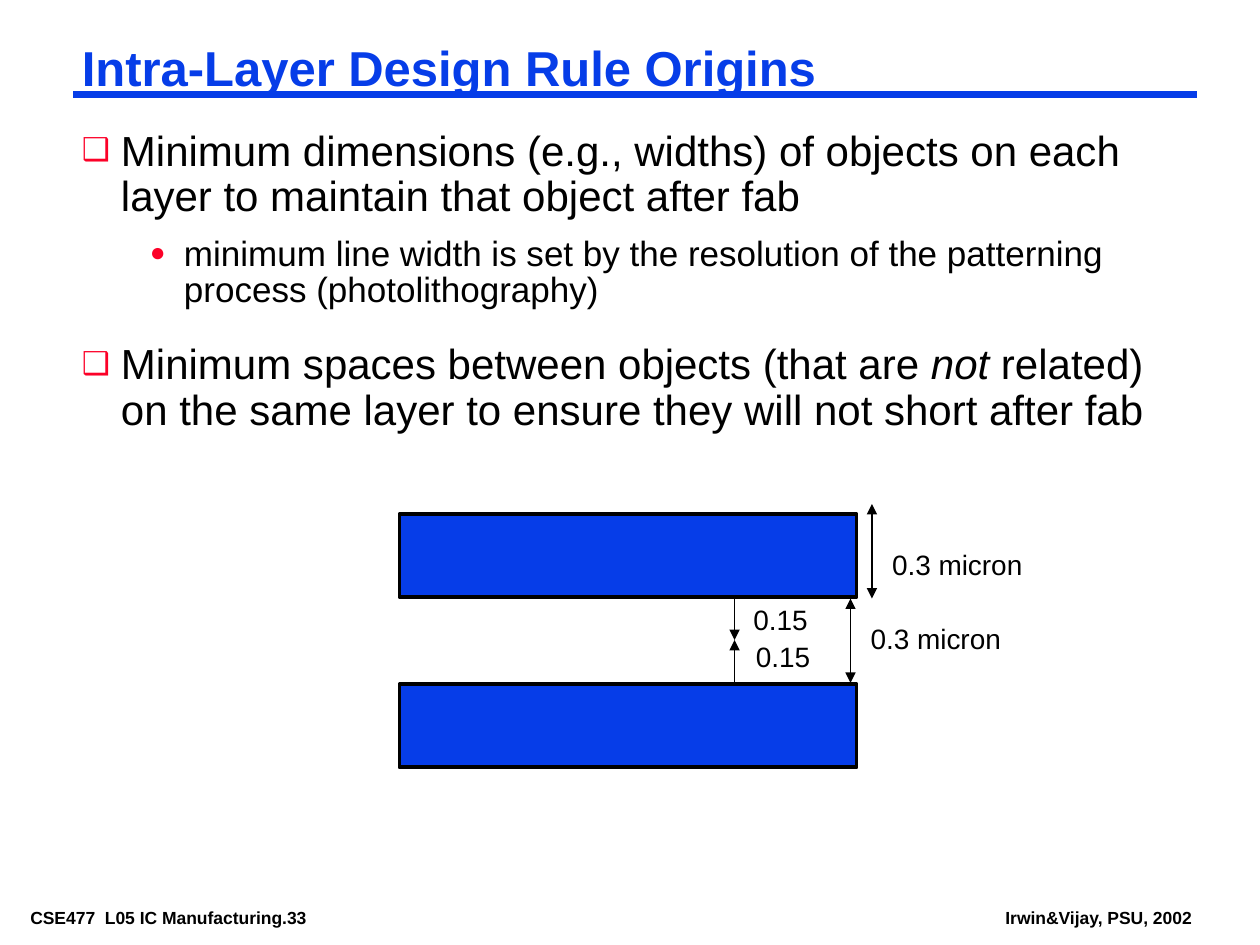
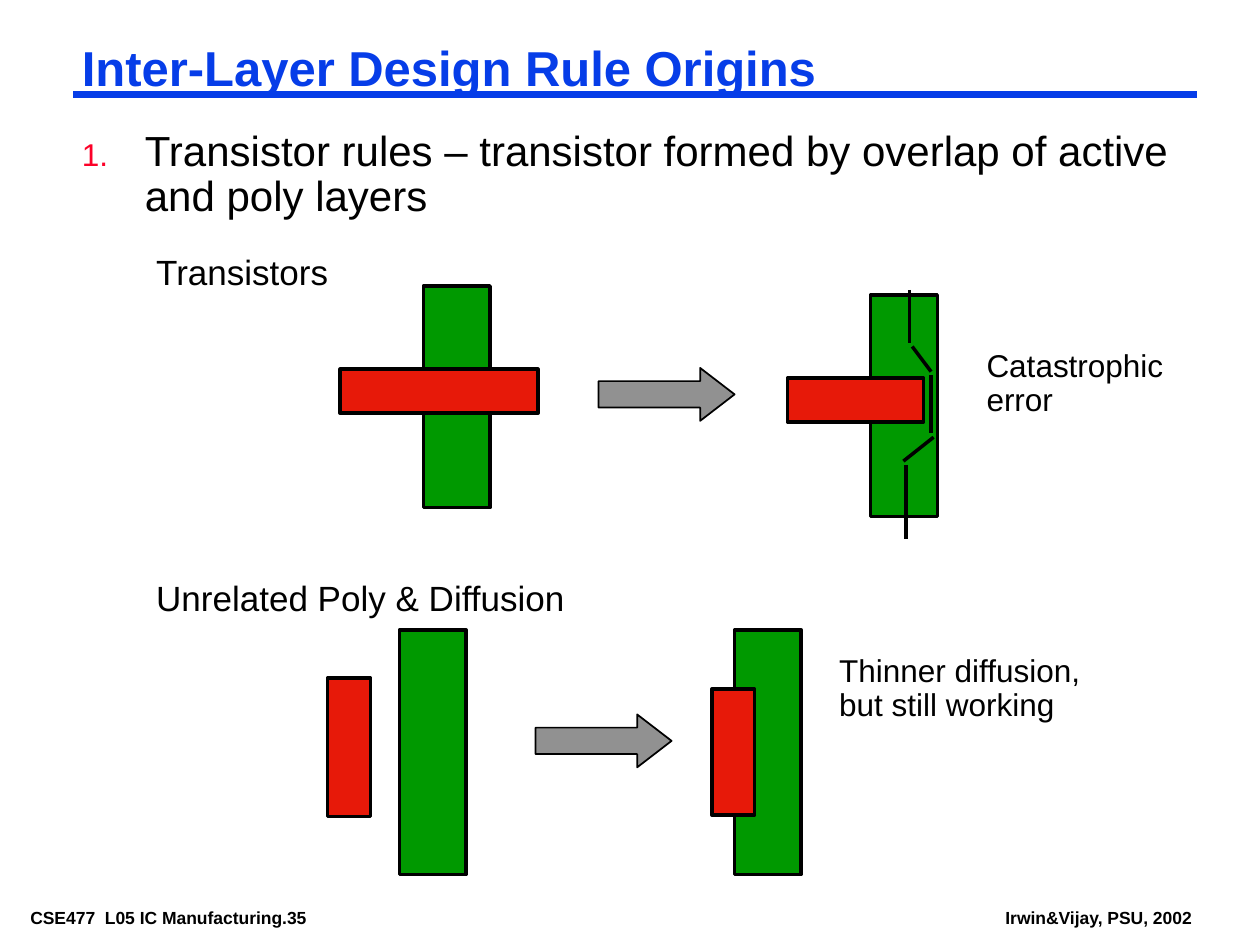
import dataclasses
import pptx
import pptx.dml.color
import pptx.enum.shapes
import pptx.oxml.ns
import pptx.util
from lxml import etree

Inches = pptx.util.Inches
Pt = pptx.util.Pt
Kind = pptx.enum.shapes.MSO_SHAPE


@dataclasses.dataclass(frozen=True)
class Theme:
    font: str = "Arial"
    blue: str = "063DE8"
    black: str = "000000"
    mark: str = "FC0128"
    green: str = "009900"
    red: str = "E71909"
    gray: str = "919191"
    title: int = 28
    body: int = 24
    sub: int = 20
    note: int = 18
    size: int = 16
    foot: int = 10
    rule: float = 4.5
    edge: int = 2
    thin: int = 1


theme = Theme()


def tint(code):
    return pptx.dml.color.RGBColor.from_string(code)


def add_tag(parent, name, **attrs):
    return etree.SubElement(parent, pptx.oxml.ns.qn(name), attrs)


def add_run(para, words, size, color=theme.black, bold=False, slant=False):
    run = para.add_run()
    run.text = words
    font = run.font
    font.name, font.size = theme.font, Pt(size)
    font.bold, font.italic = bold, slant
    font.color.rgb = tint(color)


def add_frame(slide, box, wrap=False, side=0.08):
    frame = slide.shapes.add_textbox(*map(Inches, box)).text_frame
    frame.word_wrap = wrap
    frame.margin_left = frame.margin_right = Inches(side)
    frame.margin_top = frame.margin_bottom = Inches(0.03)
    return frame


def add_label(slide, box, lines, size, wrap=False, space=0.9):
    frame = add_frame(slide, box, wrap)
    for i, words in enumerate(lines):
        para = frame.add_paragraph() if i else frame.paragraphs[0]
        para.line_spacing = space
        add_run(para, words, size)


def add_line(slide, start, end, width, color=theme.black, head=False, tail=False):
    line = slide.shapes.add_connector(
        pptx.enum.shapes.MSO_CONNECTOR.STRAIGHT, *map(Inches, start + end))
    line.line.color.rgb = tint(color)
    line.line.width = Pt(width)
    props = line._element.spPr
    stroke = props.find(pptx.oxml.ns.qn("a:ln"))
    if head:
        add_tag(stroke, "a:headEnd", type="triangle")
    if tail:
        add_tag(stroke, "a:tailEnd", type="triangle")
    add_tag(props, "a:effectLst")


def add_block(slide, box, fill, width=theme.edge, kind=Kind.RECTANGLE):
    block = slide.shapes.add_shape(kind, *map(Inches, box))
    block.shadow.inherit = False
    block.fill.solid()
    block.fill.fore_color.rgb = tint(fill)
    block.line.color.rgb = tint(theme.black)
    block.line.width = Pt(width)
    return block


def add_arrow(slide, left, top):
    arrow = add_block(slide, (left, top, 1.08, 0.42), theme.gray, theme.thin,
                      Kind.RIGHT_ARROW)
    arrow.adjustments[0], arrow.adjustments[1] = 0.5, 0.65


def start_slide(deck, title, page):
    slide = deck.slides.add_slide(deck.slide_layouts[6])
    feet = (((0.17, 7.17, 2.85, 0.22), f"CSE477  L05 IC Manufacturing.{page}"),
            ((7.91, 7.17, 1.63, 0.22), "Irwin&Vijay, PSU, 2002"))
    for box, words in feet:
        frame = add_frame(slide, box, side=0.07)
        add_run(frame.paragraphs[0], words, theme.foot, bold=True)
    add_line(slide, (0.58, 0.75), (9.5, 0.75), theme.rule, theme.blue)
    para = add_frame(slide, (0.58, 0.33, 8.92, 0.46), True, 0.07).paragraphs[0]
    para.line_spacing = 0.87
    add_run(para, title, theme.title, theme.blue, bold=True)
    return slide


def add_point(para, runs, sign, level=0, indent=0.31, hang=0.31):
    para.level = level
    para.line_spacing = 0.85 if level else 0.9
    para.space_before = Pt(10 if level else 19.5)
    props = para._p.get_or_add_pPr()
    props.set("marL", str(Inches(indent)))
    props.set("indent", str(-Inches(hang)))
    add_tag(add_tag(props, "a:buClr"), "a:srgbClr", val=theme.mark)
    add_tag(props, "a:buSzPct", val="75000")
    add_tag(props, "a:buFont", typeface=theme.font)
    if sign == "1.":
        add_tag(props, "a:buAutoNum", type="arabicPeriod")
    else:
        add_tag(props, "a:buChar", char=sign)
    for words, slant in runs:
        add_run(para, words, theme.sub if level else theme.body, slant=slant)


def draw_gap(slide, left, top):
    for drop in (0.08, 1.43):
        add_block(slide, (left, top + drop, 3.63, 0.66), theme.blue)
    labels = ((2.75, 1.08, 0.7, 0.3, "0.15", 0.9),
              (2.73, 0.78, 0.7, 0.3, "0.15", 0.9),
              (3.66, 0.92, 1.3, 0.32, "0.3 micron", 0.96),
              (3.83, 0.33, 1.3, 0.32, "0.3 micron", 0.96))
    for x, y, wide, high, words, space in labels:
        add_label(slide, (left + x, top + y, wide, high), [words], theme.size,
                  space=space)
    spans = ((3.58, 0.75, 1.42, True), (3.75, 0, 0.75, True),
             (2.66, 0.75, 1.08, False), (2.66, 1.42, 1.08, False))
    for x, start, end, both in spans:
        add_line(slide, (left + x, top + start), (left + x, top + end),
                 theme.thin, head=both, tail=True)


def draw_cross(slide, left, top, reach):
    add_block(slide, (left + 0.66, top, 0.53, 1.76), theme.green)
    add_block(slide, (left, top + 0.66, reach, 0.35), theme.red)


def draw_leak(slide, left, top):
    parts = ((0.97, -0.04, 0.97, 0.38), (0.99, 0.41, 1.14, 0.61),
             (1.14, 0.64, 1.14, 1.1), (1.16, 1.13, 0.92, 1.32),
             (0.94, 1.35, 0.94, 1.94))
    for x, y, far, low in parts:
        add_line(slide, (left + x, top + y), (left + far, top + low), theme.edge)


def draw_pair(slide, left, top, shift, drop, high):
    add_block(slide, (left, top, 0.53, 1.94), theme.green)
    add_block(slide, (left + shift, top + drop, 0.34, high), theme.red)


def build_intra(deck):
    slide = start_slide(deck, "Intra-Layer Design Rule Origins", 33)
    frame = add_frame(slide, (0.58, 1, 8.92, 2.47), True, 0.07)
    add_point(frame.paragraphs[0], [
        ("Minimum dimensions (e.g., widths) of objects on each layer to "
         "maintain that object after fab", False)], "❑")
    add_point(frame.add_paragraph(), [
        ("minimum line width is set by the resolution of the patterning "
         "process (photolithography)", False)], "●", 1, 0.81, 0.27)
    add_point(frame.add_paragraph(), [
        ("Minimum spaces between objects (that are ", False), ("not", True),
        (" related) on the same layer to ensure they will not short after fab",
         False)], "❑")
    draw_gap(slide, 3.17, 4)


def build_inter(deck):
    slide = start_slide(deck, "Inter-Layer Design Rule Origins", 35)
    frame = add_frame(slide, (0.58, 1, 8.92, 0.78), True, 0.07)
    add_point(frame.paragraphs[0], [
        ("Transistor rules – transistor formed by overlap of active and poly "
         "layers", False)], "1.", indent=0.5, hang=0.5)
    add_label(slide, (1.16, 2, 1.53, 0.36), ["Transistors"], theme.sub)
    draw_cross(slide, 2.7, 2.27, 1.57)
    add_arrow(slide, 4.75, 2.92)
    draw_cross(slide, 6.25, 2.34, 1.08)
    draw_leak(slide, 6.25, 2.34)
    add_label(slide, (7.75, 2.75, 1.67, 0.6), ["Catastrophic error"],
              theme.note, wrap=True)
    add_label(slide, (1.16, 4.58, 3.41, 0.36), ["Unrelated Poly & Diffusion"],
              theme.sub)
    draw_pair(slide, 3.17, 5, -0.57, 0.38, 1.1)
    add_arrow(slide, 4.25, 5.67)
    draw_pair(slide, 5.83, 5, -0.18, 0.47, 1)
    add_label(slide, (6.58, 5.17, 2.08, 0.6),
              ["Thinner diffusion,", "but still working"], theme.note)


def main():
    deck = pptx.Presentation()
    deck.slide_width, deck.slide_height = Inches(10), Inches(7.5)
    build_intra(deck)
    build_inter(deck)
    deck.save("out.pptx")


if __name__ == "__main__":
    main()
